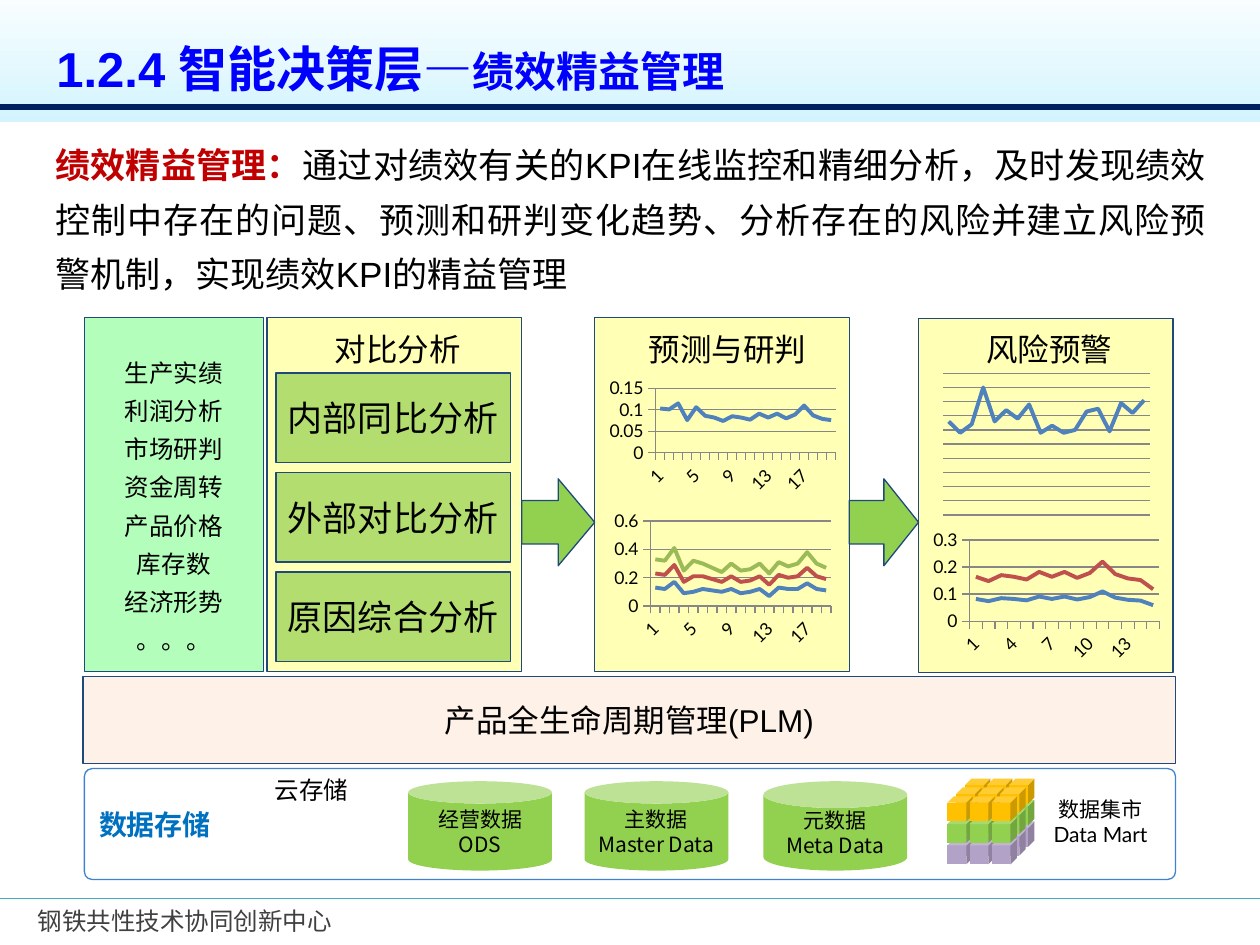
import itertools

import pptx
import pptx.chart.data
import pptx.dml.color
import pptx.enum.chart
import pptx.enum.shapes
import pptx.enum.text
import pptx.util
from lxml import etree
from pptx.oxml.ns import qn

SHAPES = pptx.enum.shapes.MSO_SHAPE
ALIGN = pptx.enum.text.PP_ALIGN
ANCHOR = pptx.enum.text.MSO_ANCHOR
COLUMNS, ROWS = 100, 75
CJK = "Noto Sans CJK SC"
NAVY, LEAF, YELLOW = "1F497D", "92D050", "FFFF00"
SERIES_COLORS = ("4F81BD", "C0504D", "9BBB59")


def color(hex_string):
    return pptx.dml.color.RGBColor.from_string(hex_string)


class SlideBuilder:
    """Holds the style and the current slide; boxes are (column, row, width, height)."""

    def __init__(self, presentation):
        self.column = presentation.slide_width / COLUMNS
        self.row = presentation.slide_height / ROWS
        self.slide = presentation.slides.add_slide(presentation.slide_layouts[6])

    def place(self, box):
        units = (self.column, self.row, self.column, self.row)
        return [pptx.util.Emu(round(value * unit)) for value, unit in zip(box, units)]

    def add_run(self, paragraph, text, size, hex_string="000000", bold=False, font="Arial"):
        run = paragraph.add_run()
        run.text = text
        run.font.size = pptx.util.Pt(size)
        run.font.bold = bold
        run.font.name = font
        run.font.color.rgb = color(hex_string)
        east_asian = etree.SubElement(run._r.get_or_add_rPr(), qn("a:ea"))
        east_asian.set("typeface", CJK)

    def fill_text(self, shape, paragraphs, align=ALIGN.CENTER, anchor=ANCHOR.MIDDLE,
                  wrap=True, spacing=None):
        """Each paragraph is a list of runs; each run is the arguments of add_run()."""
        frame = shape.text_frame
        frame.word_wrap = wrap
        frame.vertical_anchor = anchor
        for index, runs in enumerate(paragraphs):
            paragraph = frame.add_paragraph() if index else frame.paragraphs[0]
            paragraph.alignment = align
            if spacing:
                paragraph.line_spacing = spacing
            for run in runs:
                self.add_run(paragraph, *run)

    def text(self, box, paragraphs, align=ALIGN.LEFT, anchor=ANCHOR.TOP, spacing=None):
        shape = self.slide.shapes.add_textbox(*self.place(box))
        self.fill_text(shape, paragraphs, align, anchor, True, spacing)

    def shape(self, kind, box, fill, line=None, opacity=100, adjustment=None):
        shape = self.slide.shapes.add_shape(kind, *self.place(box))
        shape.shadow.inherit = False
        shape.fill.solid()
        shape.fill.fore_color.rgb = color(fill)
        if opacity < 100:
            solid = shape._element.spPr.find(qn("a:solidFill"))
            etree.SubElement(solid[0], qn("a:alpha")).set("val", str(opacity * 1000))
        if line:
            shape.line.color.rgb = color(line)
            shape.line.width = pptx.util.Pt(0.75)
        else:
            shape.line.fill.background()
        if adjustment is not None:
            shape.adjustments[0] = adjustment
        return shape

    def gradient(self, box, top, bottom):
        shape = self.shape(SHAPES.RECTANGLE, box, top)
        shape.fill.gradient()
        shape.fill.gradient_angle = 90
        for stop, hex_string in zip(shape.fill.gradient_stops, (bottom, top)):
            stop.color.rgb = color(hex_string)

    def rule(self, row, hex_string, width):
        left, top, right, _ = self.place((0, row, COLUMNS, 0))
        line = self.slide.shapes.add_connector(
            pptx.enum.shapes.MSO_CONNECTOR.STRAIGHT, left, top, right, top)
        line.line.color.rgb = color(hex_string)
        line.line.width = pptx.util.Pt(width)
        etree.SubElement(line._element.spPr, qn("a:effectLst"))

    def chart(self, box, series, low, high, step, label_skip=None):
        """Stacked lines; without label_skip both axes are hidden."""
        data = pptx.chart.data.CategoryChartData()
        data.categories = [str(n + 1) for n in range(len(series[0]))]
        for number, values in enumerate(series, 1):
            data.add_series(f"Series {number}", values)
        chart = self.slide.shapes.add_chart(
            pptx.enum.chart.XL_CHART_TYPE.LINE_STACKED, *self.place(box), data).chart
        chart.has_legend = chart.has_title = False
        chart.font.size = pptx.util.Pt(10)
        chart.font.name = "Lato"
        chart.font.color.rgb = color("000000")
        chart.plots[0].vary_by_categories = False
        for line, hex_string in zip(chart.plots[0].series, SERIES_COLORS):
            line.smooth = False
            line.marker.style = pptx.enum.chart.XL_MARKER_STYLE.NONE
            line.format.line.color.rgb = color(hex_string)
            line.format.line.width = pptx.util.Pt(2.25)
        category, value = chart.category_axis, chart.value_axis
        value.minimum_scale, value.maximum_scale, value.major_unit = low, high, step
        value.has_major_gridlines = True
        category.has_major_gridlines = False
        gridline = value.major_gridlines.format.line
        for line in (gridline, category.format.line, value.format.line):
            line.color.rgb = color("878787")
            line.width = pptx.util.Pt(0.75)
        for axis in (category, value):
            axis.visible = label_skip is not None
            axis.major_tick_mark = pptx.enum.chart.XL_TICK_MARK.OUTSIDE
        if label_skip:
            category.tick_labels.font.size = pptx.util.Pt(10)
            category._element.txPr.find(qn("a:bodyPr")).set("rot", "-2700000")
            skip = etree.Element(qn("c:tickLblSkip"))
            skip.set("val", str(label_skip))
            category._element.find(qn("c:noMultiLvlLbl")).addprevious(skip)


def main():
    presentation = pptx.Presentation()
    presentation.slide_width = pptx.util.Inches(10)
    presentation.slide_height = pptx.util.Inches(7.5)
    page = SlideBuilder(presentation)

    # Header band, footer and title
    page.text((2, 71.4, 41, 3.4), [[("钢铁共性技术协同创新中心", 14, "404040", False, CJK)]],
              anchor=ANCHOR.MIDDLE)
    page.rule(71.3, "46AAC5", 1)
    page.gradient((0, -1.6, 100, 11.3), "FFFFFF", "D3F4FE")
    page.rule(8.5, "002060", 3)
    page.text((3.5, 2.6, 93.7, 5.7), [[("1.2.4 智能决策层—", 28, "0000FF", True),
                                       ("绩效精益管理", 24, "0000FF", True)]])

    # Introduction
    page.text((3.4, 9.9, 93.3, 14.1), [[
        ("绩效精益管理：", 20, "C00000", True),
        ("通过对绩效有关的KPI在线监控和精细分析，及时发现绩效控制中存在的问题、"
         "预测和研判变化趋势、分析存在的风险并建立风险预警机制，实现绩效KPI的精益管理", 20),
    ]], align=ALIGN.JUSTIFY, spacing=1.3)

    # Input list
    page.shape(SHAPES.RECTANGLE, (6.7, 25.2, 14.2, 28.1), "B4FEBB", NAVY)
    inputs = ("生产实绩", "利润分析", "市场研判", "资金周转", "产品价格库存数", "经济形势", "。。。")
    listing = page.shape(SHAPES.RECTANGLE, (8.3, 27.2, 11, 25.5), "B4FEBB")
    page.fill_text(listing, [[(item, 14)] for item in inputs], anchor=ANCHOR.TOP, spacing=1.3)

    # Three stage panels with headings, joined by arrows
    for left, top, heading, heading_left, heading_width in (
            (21.2, 25.2, "对比分析", 25.6, 13.4),
            (47.2, 25.2, "预测与研判", 50.5, 15),
            (72.9, 25.3, "风险预警", 77.3, 13.4)):
        page.shape(SHAPES.RECTANGLE, (left, top, 20.2, 28.1), YELLOW, NAVY, opacity=29)
        page.text((heading_left, 25.7, heading_width, 4), [[(heading, 18)]])
    for left, width in ((41.4, 5.8), (67.4, 5.5)):
        page.shape(SHAPES.RIGHT_ARROW, (left, 38, width, 6.9), LEAF, NAVY)
    for index, label in enumerate(("内部同比分析", "外部对比分析", "原因综合分析")):
        box = page.shape(SHAPES.RECTANGLE, (21.9, 29.6 + 7.9 * index, 18.6, 7.1),
                         LEAF, NAVY, opacity=69)
        page.fill_text(box, [[(label, 20)]], wrap=False)

    # Forecast charts
    page.chart((48, 29.8, 18.7, 9.6), [
        (0.103, 0.101, 0.115, 0.076, 0.106, 0.086, 0.082, 0.074, 0.085, 0.082,
         0.077, 0.091, 0.082, 0.091, 0.08, 0.089, 0.11, 0.087, 0.079, 0.076),
    ], 0, 0.15, 0.05, label_skip=4)
    rates = (0.1, 0.1, 0.12, 0.08, 0.11, 0.09, 0.08, 0.07, 0.09, 0.08,
             0.08, 0.09, 0.08, 0.09, 0.08, 0.09, 0.11, 0.09, 0.08)
    page.chart((48.4, 40.3, 17.9, 11.3), [
        (0.13, 0.12, 0.17, 0.09, 0.1, 0.12, 0.11, 0.1, 0.12, 0.09,
         0.1, 0.12, 0.07, 0.13, 0.12, 0.12, 0.16, 0.12, 0.11),
        rates, rates,
    ], 0, 0.6, 0.2, label_skip=4)

    # Warning charts
    page.chart((74.5, 29.4, 17.1, 11.7), [
        (76, 68, 74, 100, 76, 84, 78, 88, 68, 73, 68, 70, 83, 85, 69, 89, 82, 91),
    ], 10, 110, 10)
    risks = (0.082, 0.074, 0.085, 0.082, 0.077, 0.091, 0.082, 0.091,
             0.08, 0.089, 0.11, 0.087, 0.079, 0.076, 0.059)
    page.chart((73.7, 41.8, 18.7, 11), [risks, risks], 0, 0.3, 0.1, label_skip=3)

    # Lifecycle bar and storage frame
    lifecycle = page.shape(SHAPES.RECTANGLE, (6.6, 53.7, 86.7, 6.9), "FCD5B5", NAVY, opacity=31)
    page.fill_text(lifecycle, [[("产品全生命周期管理(PLM)", 18)]], wrap=False)
    storage = page.shape(SHAPES.ROUNDED_RECTANGLE, (6.7, 61, 86.6, 8.8), "FFFFFF", "4081D2",
                         adjustment=0.07)
    page.fill_text(storage, [[("数据存储", 16, "0070C0", True)]], align=ALIGN.LEFT)
    page.text((20.8, 61, 8.5, 3.4), [[("云存储", 14)]])

    # Data stores
    for left, rim, lines in ((32.4, 0.25, ("经营数据", "ODS")),
                             (46.4, 0.25, ("主数据", "Master Data")),
                             (60.6, 0.3, ("元数据", "Meta Data"))):
        store = page.shape(SHAPES.CAN, (left, 62, 11.4, 7.1), LEAF, adjustment=rim)
        page.fill_text(store, [[(line, 12, "000000", False, CJK)] for line in lines], wrap=False)

    # Data mart: layers from the bottom up, each from the back row forward
    layers = enumerate(("B3A2C7", LEAF, "FFC000"))
    for (layer, fill), depth, across in itertools.product(layers, range(3), range(3)):
        page.shape(SHAPES.CUBE, (76.6 + 1.75 * across - 0.7 * depth,
                                 65.2 - 1.7 * layer + 0.7 * depth, 2, 2), fill)
    page.text((82.3, 63, 10.1, 4.4),
              [[(line, 12, "000000", False, "Lato")] for line in ("数据集市", "Data Mart")],
              align=ALIGN.CENTER, anchor=ANCHOR.MIDDLE)

    presentation.save("out.pptx")


if __name__ == "__main__":
    main()
